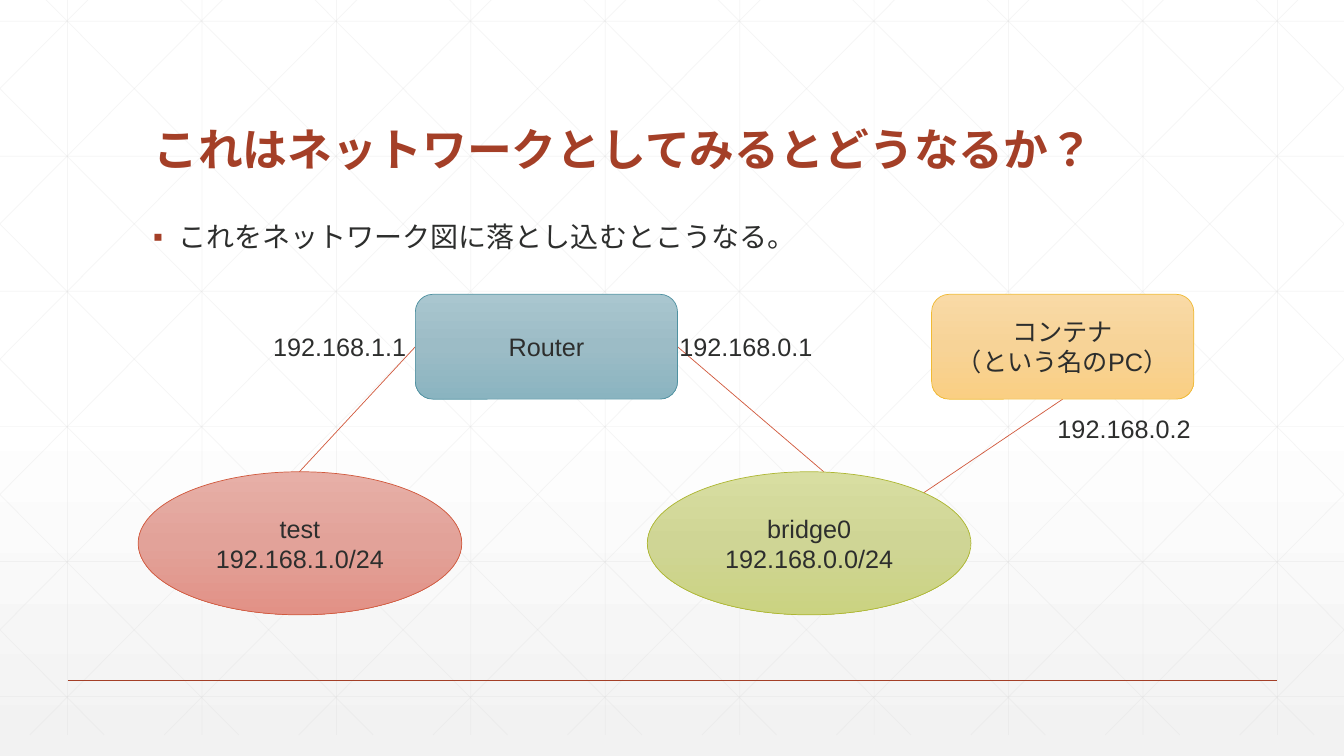
from lxml import etree
from pptx import Presentation
from pptx.dml.color import RGBColor
from pptx.enum.lang import MSO_LANGUAGE_ID
from pptx.enum.shapes import MSO_CONNECTOR, MSO_SHAPE
from pptx.enum.text import MSO_ANCHOR, MSO_AUTO_SIZE, PP_ALIGN
from pptx.oxml.ns import qn
from pptx.util import Inches, Pt

JAPANESE = MSO_LANGUAGE_ID.JAPANESE
STRAIGHT = MSO_CONNECTOR.STRAIGHT
ELLIPSE = MSO_SHAPE.OVAL
ROUNDED = MSO_SHAPE.ROUNDED_RECTANGLE
LEFT, CENTER = PP_ALIGN.LEFT, PP_ALIGN.CENTER
TOP, MIDDLE, BOTTOM = MSO_ANCHOR.TOP, MSO_ANCHOR.MIDDLE, MSO_ANCHOR.BOTTOM
NO_AUTOFIT = MSO_AUTO_SIZE.NONE

COLORS = {
    "grid": "D9D9D9",
    "accent": "A43F27",
    "text": "2D2E2D",
    "link": "D15A3E",
    "router": "4F91A1",
    "test": "D15A3E",
    "bridge": "AEB733",
    "container": "F0BA34",
}
GRADIENTS = {
    "background": [(0, "FFFFFF"), (53, "FFFFFF"), (100, "F2F2F2")],
    "router": [(0, "A9C6CF"), (50, "9CBCC6"), (100, "8AB4C0")],
    "test": [(0, "E7AFA7"), (50, "E2A299"), (100, "E29186")],
    "bridge": [(0, "D8DEA1"), (50, "CFD595"), (100, "CBD381")],
    "container": [(0, "F9DAA6"), (50, "F7D397"), (100, "FACF83")],
}
JAPANESE_FONT = "Noto Sans CJK JP"
WIDTH, HEIGHT = 13.33, 7.5

deck = Presentation()
deck.slide_width = Inches(WIDTH)
deck.slide_height = Inches(HEIGHT)
page = deck.slides.add_slide(deck.slide_layouts[5])


def apply_gradient(fill, element, stops):
    fill.gradient()
    fill.gradient_angle = 270
    stop_list = next(element.iter(qn("a:gsLst")))
    for stop in list(stop_list):
        stop_list.remove(stop)
    for position, color in stops:
        stop = etree.SubElement(stop_list, qn("a:gs"), pos=str(position * 1000))
        etree.SubElement(stop, qn("a:srgbClr"), val=color)


def write_text(box, text, size=18, color="text", font="Arial",
               align=LEFT, anchor=TOP, bold=False, spacing=1.0):
    frame = box.text_frame
    frame.text = text
    frame.vertical_anchor = anchor
    for paragraph in frame.paragraphs:
        paragraph.alignment = align
        paragraph.line_spacing = spacing
        for span in paragraph.runs:
            span.font.size = Pt(size)
            span.font.bold = bold
            span.font.language_id = JAPANESE
            span.font.color.rgb = RGBColor.from_string(COLORS[color])
            span.font.name = font
            etree.SubElement(span._r.get_or_add_rPr(), qn("a:ea"), typeface=JAPANESE_FONT)


apply_gradient(page.background.fill, page.element, GRADIENTS["background"])

grid_top, grid_bottom = -0.21, 7.29
step, diagonal_run = 4 / 3, 7.45
slope = (grid_bottom - grid_top) / diagonal_run
grid_lines = []
for column in range(10):
    x = 0.67 + column * step
    grid_lines.append((x, grid_top, x, grid_bottom))
for row in range(6):
    y = 0.21 + row * 1.34
    grid_lines.append((0, y, WIDTH, y))
for index in range(-5, 10):
    start = 0.25 + index * step
    left, right = max(0, start), min(WIDTH, start + diagonal_run)
    upper = grid_top + (left - start) * slope
    lower = grid_top + (right - start) * slope
    grid_lines.append((left, upper, right, lower))
    grid_lines.append((WIDTH - left, upper, WIDTH - right, lower))

footer_line = (0.67, 6.75, 12.67, 6.75)
network_links = [
    (4.12, 3.44, 2.97, 4.68),
    (6.72, 3.44, 8.17, 4.68),
    (10.54, 3.96, 9.16, 4.89),
]
lines = [(ends, "grid", 0.5) for ends in grid_lines]
lines.append((footer_line, "accent", 1))
lines += [(ends, "link", 0.5) for ends in network_links]
for ends, color, weight in lines:
    connector = page.shapes.add_connector(STRAIGHT, *[Inches(value) for value in ends])
    connector.line.color.rgb = RGBColor.from_string(COLORS[color])
    connector.line.width = Pt(weight)
    properties = connector.element.spPr
    if color == "grid":
        etree.SubElement(next(properties.iter(qn("a:srgbClr"))), qn("a:alpha"), val="25000")
    etree.SubElement(properties, qn("a:effectLst"))

title = page.shapes.title
title.left, title.top = Inches(1.42), Inches(0.55)
title.width, title.height = Inches(10.5), Inches(1.25)
write_text(title, "これはネットワークとしてみるとどうなるか？", size=32, color="accent",
           font=JAPANESE_FONT, anchor=BOTTOM, bold=True, spacing=0.9)
title.text_frame.auto_size = NO_AUTOFIT
page.shapes.element.append(title.element)

body = page.shapes.add_textbox(Inches(1.42), Inches(2.17), Inches(10.5), Inches(4.17))
body.text_frame.word_wrap = True
write_text(body, "これをネットワーク図に落とし込むとこうなる。", size=20,
           font=JAPANESE_FONT, spacing=0.9)
bullet_paragraph = body.text_frame.paragraphs[0]
bullet_paragraph.space_before = Pt(18)
bullet = bullet_paragraph._p.get_or_add_pPr()
bullet.set("marL", str(Inches(0.25)))
bullet.set("indent", str(Inches(-0.25)))
bullet_color = etree.SubElement(bullet, qn("a:buClr"))
etree.SubElement(bullet_color, qn("a:srgbClr"), val=COLORS["accent"])
etree.SubElement(bullet, qn("a:buFont"), typeface="Arial")
etree.SubElement(bullet, qn("a:buChar"), char="▪")

nodes = [
    ("test", ELLIPSE, 1.37, 4.68, 3.21, 1.42, "test\n192.168.1.0/24"),
    ("bridge", ELLIPSE, 6.42, 4.68, 3.21, 1.42, "bridge0\n192.168.0.0/24"),
    ("router", ROUNDED, 4.12, 2.92, 2.6, 1.04, "Router"),
    ("container", ROUNDED, 9.24, 2.92, 2.6, 1.04, "コンテナ\n（という名のPC）"),
]
for name, kind, left, top, width, height, text in nodes:
    node = page.shapes.add_shape(kind, Inches(left), Inches(top), Inches(width), Inches(height))
    node.shadow.inherit = False
    apply_gradient(node.fill, node.element, GRADIENTS[name])
    node.line.color.rgb = RGBColor.from_string(COLORS[name])
    node.line.width = Pt(0.5)
    write_text(node, text, align=CENTER, anchor=MIDDLE)

addresses = [
    (2.61, 3.24, "192.168.1.1"),
    (6.64, 3.24, "192.168.0.1"),
    (10.39, 4.05, "192.168.0.2"),
]
for left, top, address in addresses:
    label = page.shapes.add_textbox(Inches(left), Inches(top), Inches(1.53), Inches(0.4))
    label.text_frame.word_wrap = False
    write_text(label, address)

deck.save("out.pptx")
